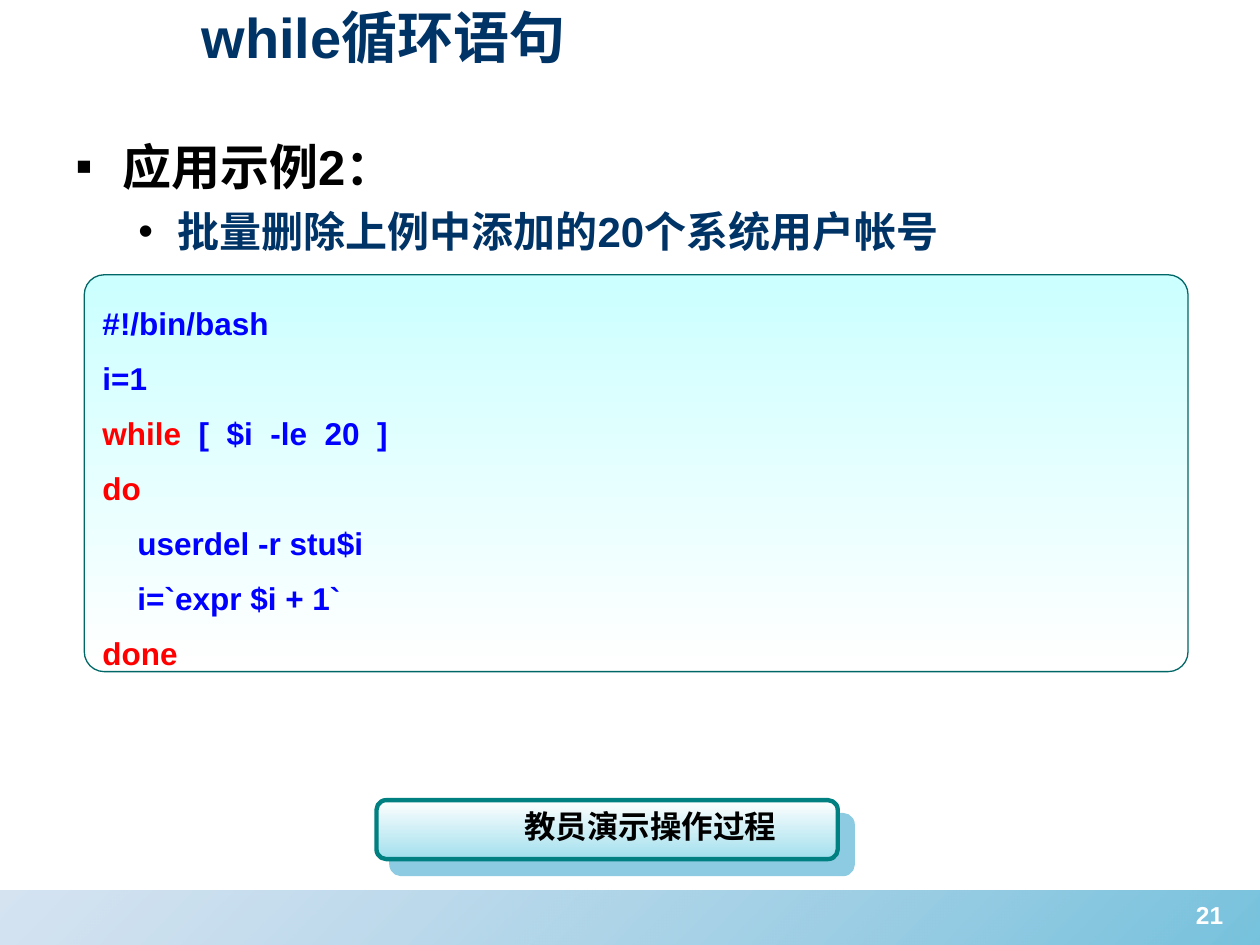
from pptx import Presentation, util as u
from pptx.dml.color import RGBColor
from pptx.enum import shapes, text
from pptx.oxml import parse_xml
from pptx.oxml.ns import nsdecls, qn

NAVY, BLACK, WHITE = "003366", "000000", "FFFFFF"
BLUE, RED, SKY = "0000FF", "FF0000", "1C99C6"

CODE = [
    [("#!/bin/bash", BLUE)],
    [("i=1", BLUE)],
    [("while", RED), ("  [  $i  -le  20  ]", BLUE)],
    [("do", RED)],
    [("    userdel -r stu$i", BLUE)],
    [("    i=`expr $i + 1`", BLUE)],
    [("done", RED)],
]


def rgb(value):
    return RGBColor.from_string(value)


def element(tag, inner="", **attributes):
    pairs = " ".join(f'{key}="{value}"' for key, value in attributes.items())
    return parse_xml(f"<a:{tag} {nsdecls('a')} {pairs}>{inner}</a:{tag}>")


def shadow_effect(color, opacity, distance):
    """Return an effect list with a sharp shadow to the lower right."""
    return element("effectLst", (
        f'<a:outerShdw blurRad="0" dist="{u.Pt(distance)}" dir="2700000" algn="ctr" '
        f'rotWithShape="0"><a:srgbClr val="{color}"><a:alpha val="{opacity * 1000}"/>'
        "</a:srgbClr></a:outerShdw>"))


class SlideBuilder:
    font = {"name": "Arial", "bold": True}

    def __init__(self, deck):
        self.slide = deck.slides.add_slide(deck.slide_layouts[5])

    def add_spans(self, para, pieces, size, shadow=False):
        for words, color in pieces:
            span = para.add_run()
            span.text = words
            for key, value in {**self.font, "size": u.Pt(size)}.items():
                setattr(span.font, key, value)
            span.font.color.rgb = rgb(color)
            if shadow:
                fill = span._r.rPr.find(qn("a:solidFill"))
                fill.addnext(shadow_effect("C0C0C0", 100, 2))

    def frame(self, box, **values):
        frame = box.text_frame
        defaults = {"word_wrap": True, "auto_size": text.MSO_AUTO_SIZE.NONE,
                    "vertical_anchor": text.MSO_ANCHOR.TOP}
        for key, value in {**defaults, **values}.items():
            setattr(frame, key, value)
        return frame

    def title(self, words, place):
        box = self.slide.shapes.title
        for key, value in zip(("left", "top", "width", "height"), place):
            setattr(box, key, u.Cm(value))
        para = self.frame(box, vertical_anchor=text.MSO_ANCHOR.MIDDLE).paragraphs[0]
        para.alignment = text.PP_ALIGN.LEFT
        self.add_spans(para, [(words, NAVY)], 32)

    def label(self, words, place, size, color, parent=None, shadow=False):
        shape_tree = (parent or self.slide).shapes
        box = shape_tree.add_textbox(*map(u.Cm, place))
        para = self.frame(box).paragraphs[0]
        para.alignment = text.PP_ALIGN.CENTER
        self.add_spans(para, [(words, color)], size, shadow)

    def bullets(self, items, place):
        frame = self.frame(self.slide.shapes.add_textbox(*map(u.Cm, place)))
        for level, (words, mark, size, color, margin, hang) in enumerate(items):
            para = frame.add_paragraph() if level else frame.paragraphs[0]
            para.level = level
            props = para._p.get_or_add_pPr()
            props.set("marL", str(u.Cm(margin)))
            props.set("indent", str(-u.Cm(hang)))
            props.append(element("buClr", f'<a:srgbClr val="{BLACK}"/>'))
            props.append(element("buFont", typeface="Arial"))
            props.append(element("buChar", char=mark))
            if level:
                para.space_before = u.Pt(6)
            self.add_spans(para, [(words, color)], size, shadow=True)

    def panel(self, kind, place, stops, angle, line=None, parent=None):
        """Add a gradient shape; stops are (colour, opacity) pairs."""
        shape_tree = (parent or self.slide).shapes
        box = shape_tree.add_shape(kind, *map(u.Cm, place))
        box.shadow.inherit = False
        box.fill.gradient()
        box.fill.gradient_angle = angle
        for position, (stop, (color, opacity)) in enumerate(zip(box.fill.gradient_stops, stops)):
            stop.position = position
            stop.color.rgb = rgb(color)
            if opacity < 100:
                swatch = stop._gs.find(qn("a:srgbClr"))
                swatch.append(element("alpha", val=opacity * 1000))
        if line:
            box.line.color.rgb = rgb(line[0])
            box.line.width = u.Pt(line[1])
        else:
            box.line.fill.background()
        return box

    def code(self, lines, place):
        box = self.panel(shapes.MSO_SHAPE.ROUNDED_RECTANGLE, place,
                         [("CCFFFF", 100), (WHITE, 100)], 270, ("006666", 0.75))
        box.adjustments[0] = 0.05
        frame = self.frame(box, margin_top=u.Cm(0.33))
        for number, pieces in enumerate(lines):
            para = frame.add_paragraph() if number else frame.paragraphs[0]
            para.alignment = text.PP_ALIGN.LEFT
            para.line_spacing = 1.2
            if number:
                para.space_before = u.Pt(5.5)
            self.add_spans(para, pieces, 18)

    def button(self, words, place, label_place):
        group = self.slide.shapes.add_group_shape()
        box = self.panel(shapes.MSO_SHAPE.FLOWCHART_ALTERNATE_PROCESS, place,
                         [(WHITE, 100), ("A1DFED", 100)], 270, ("008080", 2.5), group)
        props = box._element.spPr
        props.replace(props.find(qn("a:effectLst")), shadow_effect(SKY, 50, 12.1))
        self.label(words, label_place, 18, BLACK, group, shadow=True)


def main():
    deck = Presentation()
    deck.slide_width, deck.slide_height = u.Cm(25.4), u.Cm(19.05)
    page = SlideBuilder(deck)
    page.panel(shapes.MSO_SHAPE.RECTANGLE, (0, 17.96, 25.4, 1.09),
               [(SKY, 60), ("88B0D8", 35)], 135)
    page.title("while循环语句", (3.81, -0.08, 20.5, 1.63))
    page.bullets([
        ("应用示例2：", "▪", 28, BLACK, 0.95, 0.95),
        ("批量删除上例中添加的20个系统用户帐号", "•", 24, NAVY, 2.06, 0.79),
    ], (1.27, 2.62, 22.86, 14.1))
    page.code(CODE, (1.7, 5.54, 22.25, 8))
    page.button("教员演示操作过程", (7.59, 16.13, 9.3, 1.19), (10.26, 16.15, 5.69, 1.02))
    page.label("21", (23.47, 18.01, 1.83, 1.32), 14, WHITE)
    deck.save("out.pptx")


if __name__ == "__main__":
    main()
